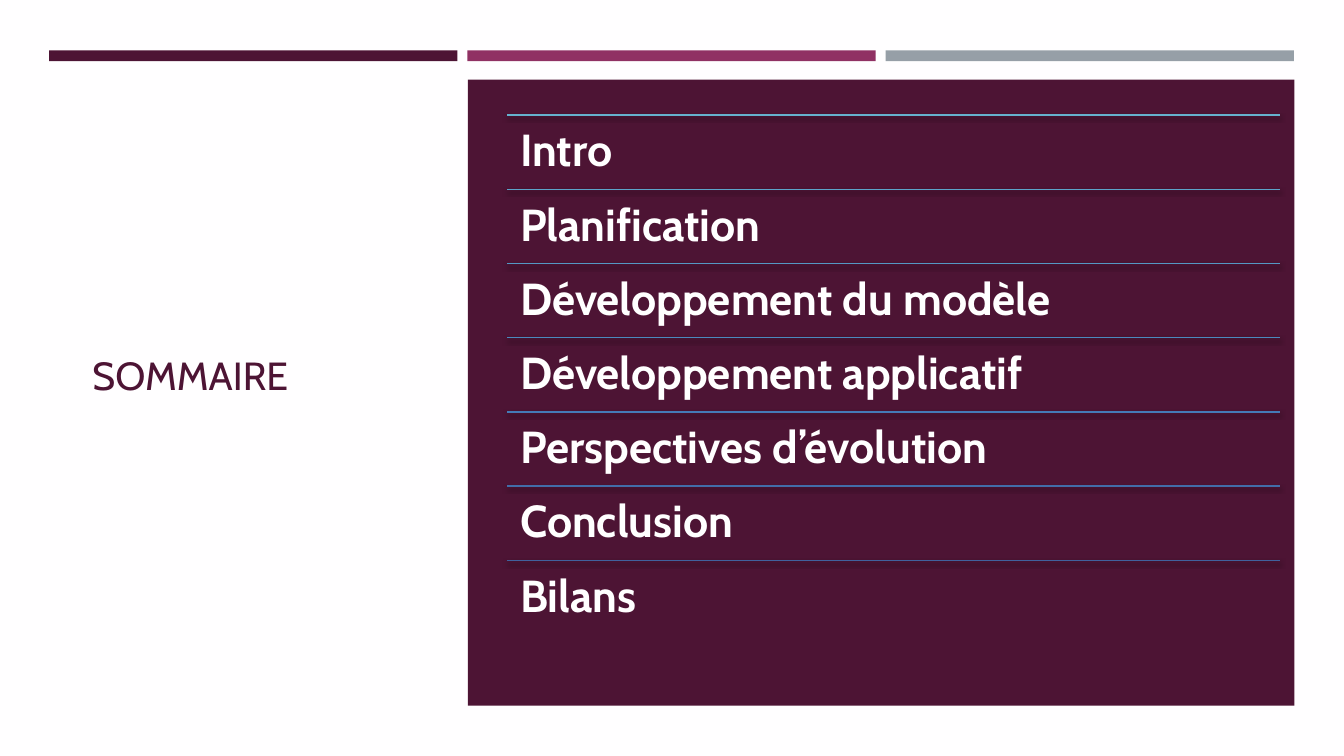
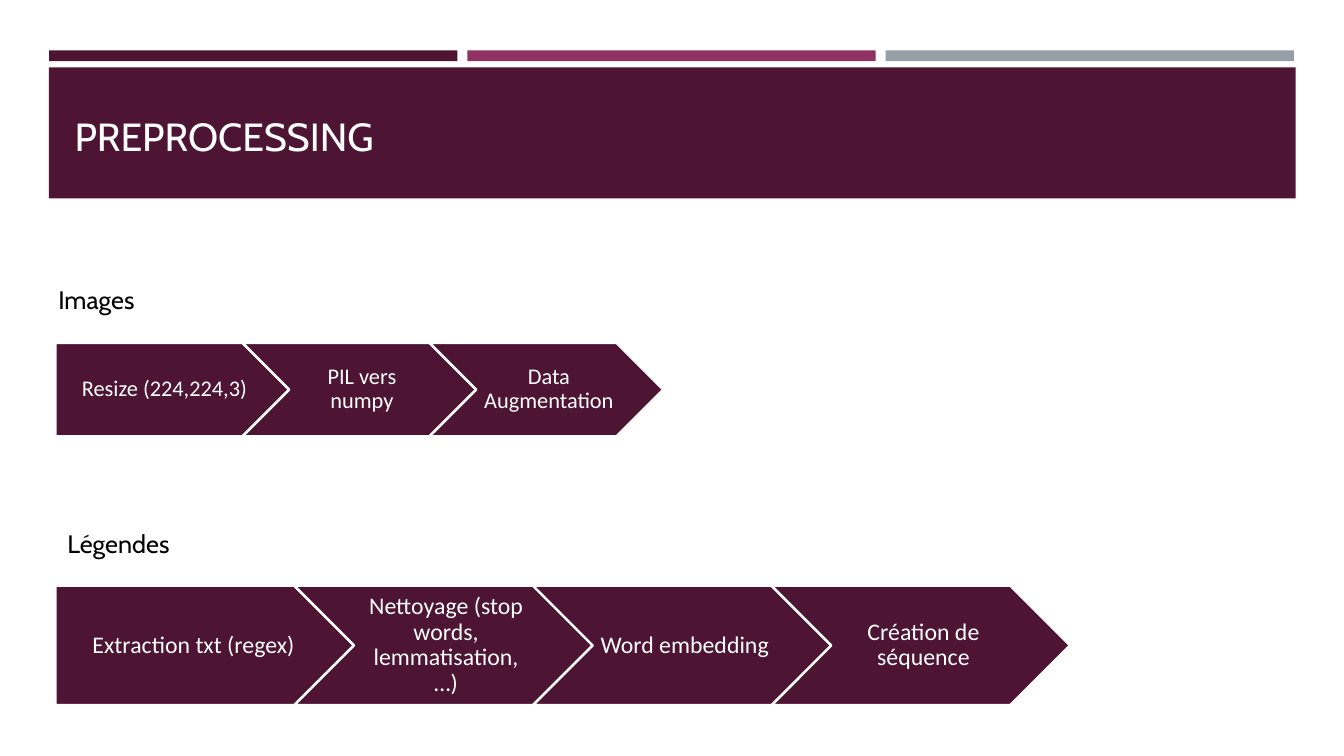
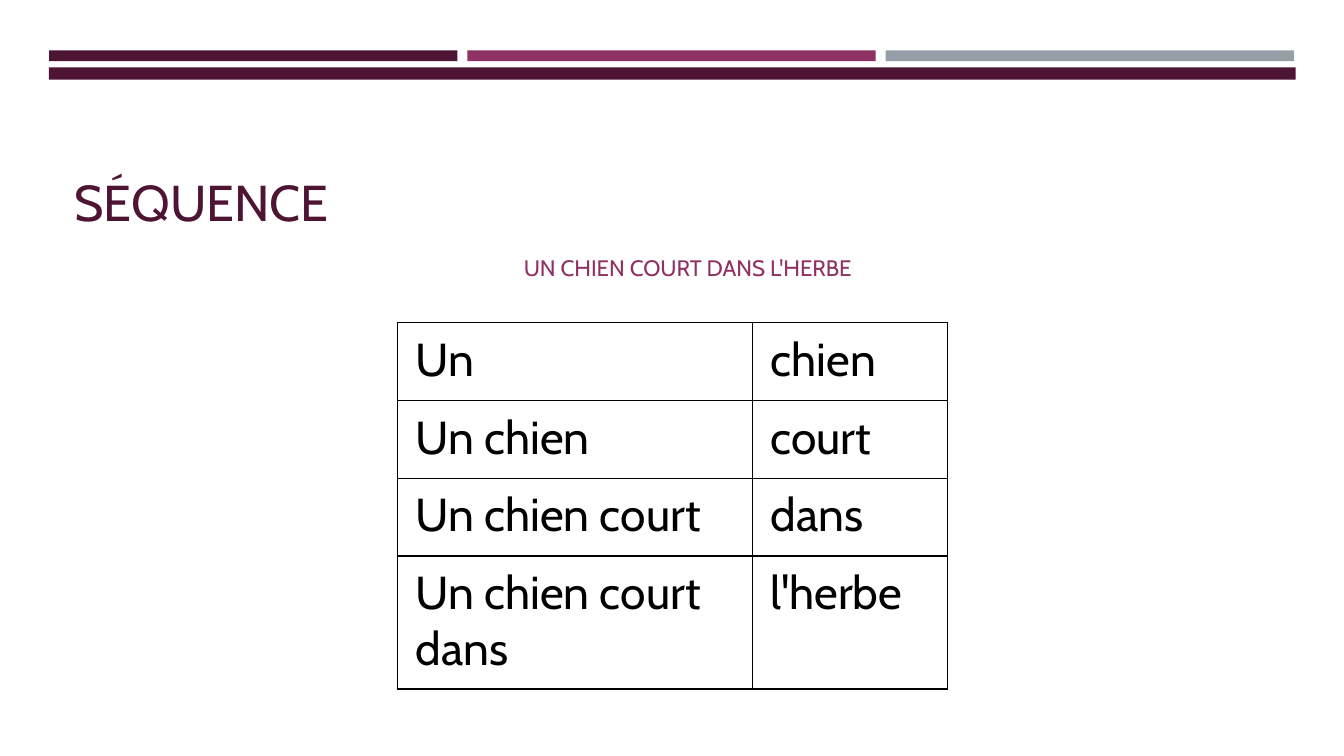
from dataclasses import dataclass

from lxml import etree
from pptx import Presentation
from pptx.dml.color import RGBColor
from pptx.enum.shapes import MSO_CONNECTOR, MSO_SHAPE
from pptx.enum.text import MSO_ANCHOR, PP_ALIGN
from pptx.oxml import parse_xml
from pptx.oxml.ns import nsdecls, qn
from pptx.util import Cm, Pt

RECT = MSO_SHAPE.RECTANGLE
PENTAGON = MSO_SHAPE.PENTAGON
CHEVRON = MSO_SHAPE.CHEVRON
STRAIGHT = MSO_CONNECTOR.STRAIGHT
TOP, MIDDLE, BOTTOM = MSO_ANCHOR.TOP, MSO_ANCHOR.MIDDLE, MSO_ANCHOR.BOTTOM
LEFT, CENTER = PP_ALIGN.LEFT, PP_ALIGN.CENTER


@dataclass(frozen=True)
class Theme:
    plum: str = "4D1434"
    berry: str = "903163"
    grey: str = "969FA7"
    white: str = "FFFFFF"
    paper: str = "FFFEFF"
    black: str = "000000"
    heading_font: str = "Cabin"
    step_font: str = "Calibri"
    title: int = 28
    large_title: int = 36
    agenda: int = 32
    label: int = 18
    subtitle: int = 16
    table: int = 33


THEME = Theme()
TEXT_INSETS = (0.25, 0.13, 0.25, 0.13)


class Deck:
    def __init__(self, theme):
        self.theme = theme
        self.prs = Presentation()
        self.prs.slide_width = Cm(33.87)
        self.prs.slide_height = Cm(19.05)
        self.slide = None

    def new_slide(self, background):
        self.slide = self.prs.slides.add_slide(self.prs.slide_layouts[6])
        fill = self.slide.background.fill
        fill.solid()
        fill.fore_color.rgb = RGBColor.from_string(background)
        for i, color in enumerate((self.theme.plum, self.theme.berry, self.theme.grey)):
            self.block(1.24 + i * 10.54, 1.27, 10.29, 0.27, color)

    def block(self, left, top, width, height, color, preset=RECT, outline=None):
        shape = self.slide.shapes.add_shape(
            preset, Cm(left), Cm(top), Cm(width), Cm(height))
        shape.shadow.inherit = False
        shape.fill.solid()
        shape.fill.fore_color.rgb = RGBColor.from_string(color)
        if outline:
            shape.line.color.rgb = RGBColor.from_string(outline)
            shape.line.width = Pt(1.75)
        else:
            shape.line.fill.background()
        return shape

    def header(self, height):
        self.block(1.23, 1.7, 31.42, height, self.theme.plum)

    def set_text(self, frame, words, size, color, font=None, bold=False,
                 align=LEFT, anchor=TOP, spacing=None, insets=TEXT_INSETS):
        frame.word_wrap = True
        frame.vertical_anchor = anchor
        (frame.margin_left, frame.margin_top,
         frame.margin_right, frame.margin_bottom) = map(Cm, insets)
        paragraph = frame.paragraphs[0]
        paragraph.text = words
        paragraph.alignment = align
        if spacing:
            paragraph.line_spacing = spacing
        paragraph.font.name = font or self.theme.heading_font
        paragraph.font.size = Pt(size)
        paragraph.font.bold = bold
        paragraph.font.color.rgb = RGBColor.from_string(color)

    def text(self, left, top, width, height, words, size, color, **style):
        box = self.slide.shapes.add_textbox(Cm(left), Cm(top), Cm(width), Cm(height))
        self.set_text(box.text_frame, words, size, color, **style)

    def rule(self, left, top, width, color):
        line = self.slide.shapes.add_connector(
            STRAIGHT, Cm(left), Cm(top), Cm(left + width), Cm(top))
        line.line.color.rgb = RGBColor.from_string(color)
        line.line.width = Pt(1)
        line._element.spPr.append(parse_xml(
            f'<a:effectLst {nsdecls("a")}>'
            '<a:outerShdw blurRad="38100" dist="25400" dir="5400000" rotWithShape="0">'
            f'<a:srgbClr val="{self.theme.black}"><a:alpha val="55000"/></a:srgbClr>'
            '</a:outerShdw></a:effectLst>'))

    def process(self, left, top, width, steps, size):
        for i, step in enumerate(steps):
            preset, inset = (CHEVRON, 0.18) if i else (PENTAGON, 0.24)
            arrow = self.block(left + i * 0.8 * width, top, width, 0.4 * width,
                               self.theme.plum, preset, self.theme.white)
            self.set_text(arrow.text_frame, step, size, self.theme.white,
                          font=self.theme.step_font, align=CENTER, anchor=MIDDLE,
                          spacing=0.9, insets=(inset, 0.13, 0.05, 0.13))

    def table(self, left, top, widths, heights, rows):
        grid = self.slide.shapes.add_table(
            len(rows), len(widths), Cm(left), Cm(top),
            Cm(sum(widths)), Cm(sum(heights))).table
        grid.first_row = grid.horz_banding = False
        for column, width in zip(grid.columns, widths):
            column.width = Cm(width)
        for row, height, entries in zip(grid.rows, heights, rows):
            row.height = Cm(height)
            for cell, words in zip(row.cells, entries):
                self.set_text(cell.text_frame, words, self.theme.table, self.theme.black)
                (cell.margin_left, cell.margin_top,
                 cell.margin_right, cell.margin_bottom) = map(Cm, (0.46, 0.23, 0.46, 0.23))
                cell.vertical_anchor = TOP
                cell.fill.background()
                self.borders(cell)

    def borders(self, cell):
        properties = cell._tc.get_or_add_tcPr()
        for i, side in enumerate(("lnL", "lnR", "lnT", "lnB")):
            edge = etree.Element(qn(f"a:{side}"), w=str(Pt(1)))
            fill = etree.SubElement(edge, qn("a:solidFill"))
            etree.SubElement(fill, qn("a:srgbClr"), val=self.theme.black)
            properties.insert(i, edge)


def agenda_slide(deck):
    deck.new_slide(THEME.paper)
    deck.text(2.08, 2.9, 8.48, 13.08, "SOMMAIRE", THEME.title, THEME.plum, anchor=MIDDLE)
    deck.block(11.79, 2.01, 20.83, 15.77, THEME.plum)
    agenda = (
        ("Intro", "66B1CE"),
        ("Planification", "5DA4C9"),
        ("Développement du modèle", "5497C3"),
        ("Développement applicatif", "4B89BE"),
        ("Perspectives d’évolution", "447AB6"),
        ("Conclusion", "426DA9"),
        ("Bilans", "40619D"),
    )
    for i, (topic, color) in enumerate(agenda):
        top = 2.9 + i * 1.87
        deck.rule(12.78, top, 19.48, color)
        deck.text(12.78, top, 19.48, 1.87, topic, THEME.agenda, THEME.white,
                  bold=True, spacing=0.9, insets=(0.33,) * 4)


def preprocessing_slide(deck):
    deck.new_slide(THEME.white)
    deck.header(3.3)
    deck.text(1.63, 1.96, 30.63, 2.18, "PREPROCESSING", THEME.title, THEME.white,
              anchor=BOTTOM)
    deck.text(1.22, 7.04, 7.62, 1.02, "Images", THEME.label, THEME.black)
    deck.process(1.4, 8.64, 5.89,
                 ("Resize (224,224,3)", "PIL vers numpy", "Data Augmentation"), 16)
    deck.text(1.45, 13.18, 7.62, 1.02, "Légendes", THEME.label, THEME.black)
    deck.process(1.4, 14.76, 7.52,
                 ("Extraction txt (regex)", "Nettoyage (stop words, lemmatisation, …)",
                  "Word embedding", "Création de séquence"), 17)


def sequence_slide(deck):
    deck.new_slide(THEME.white)
    deck.header(0.31)
    deck.text(1.63, 2.01, 30.53, 3.96, "SÉQUENCE", THEME.large_title, THEME.plum,
              anchor=BOTTOM)
    deck.text(12.95, 6.27, 19.2, 1.45, "UN CHIEN COURT DANS L'HERBE",
              THEME.subtitle, THEME.berry)
    words = ("Un", "chien", "court", "dans", "l'herbe")
    rows = [(" ".join(words[:i]), words[i]) for i in range(1, len(words))]
    deck.table(10.01, 8.13, (8.95, 4.91), (1.96, 1.96, 1.96, 3.35), rows)


def main():
    deck = Deck(THEME)
    agenda_slide(deck)
    preprocessing_slide(deck)
    sequence_slide(deck)
    deck.prs.save("out.pptx")


if __name__ == "__main__":
    main()
